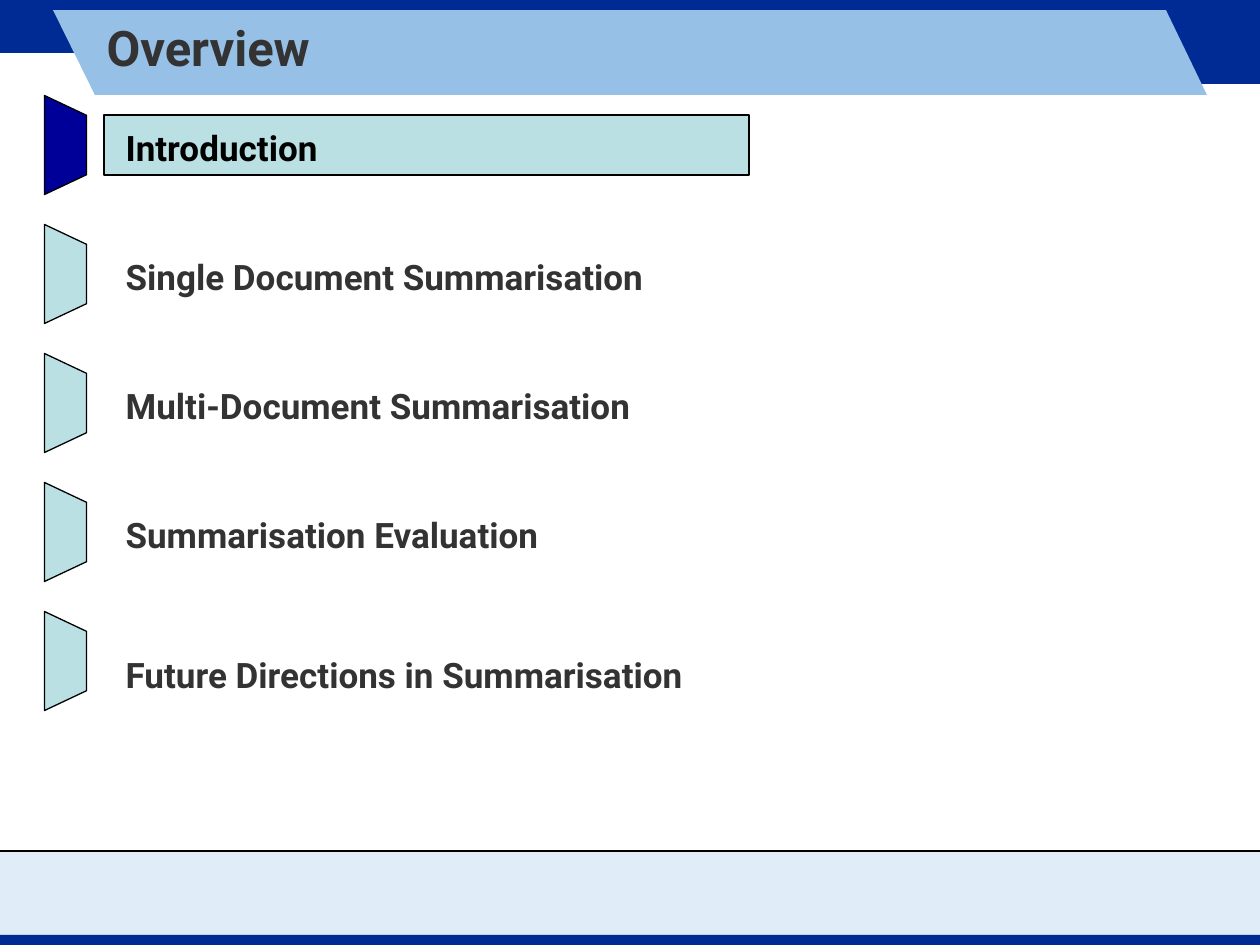
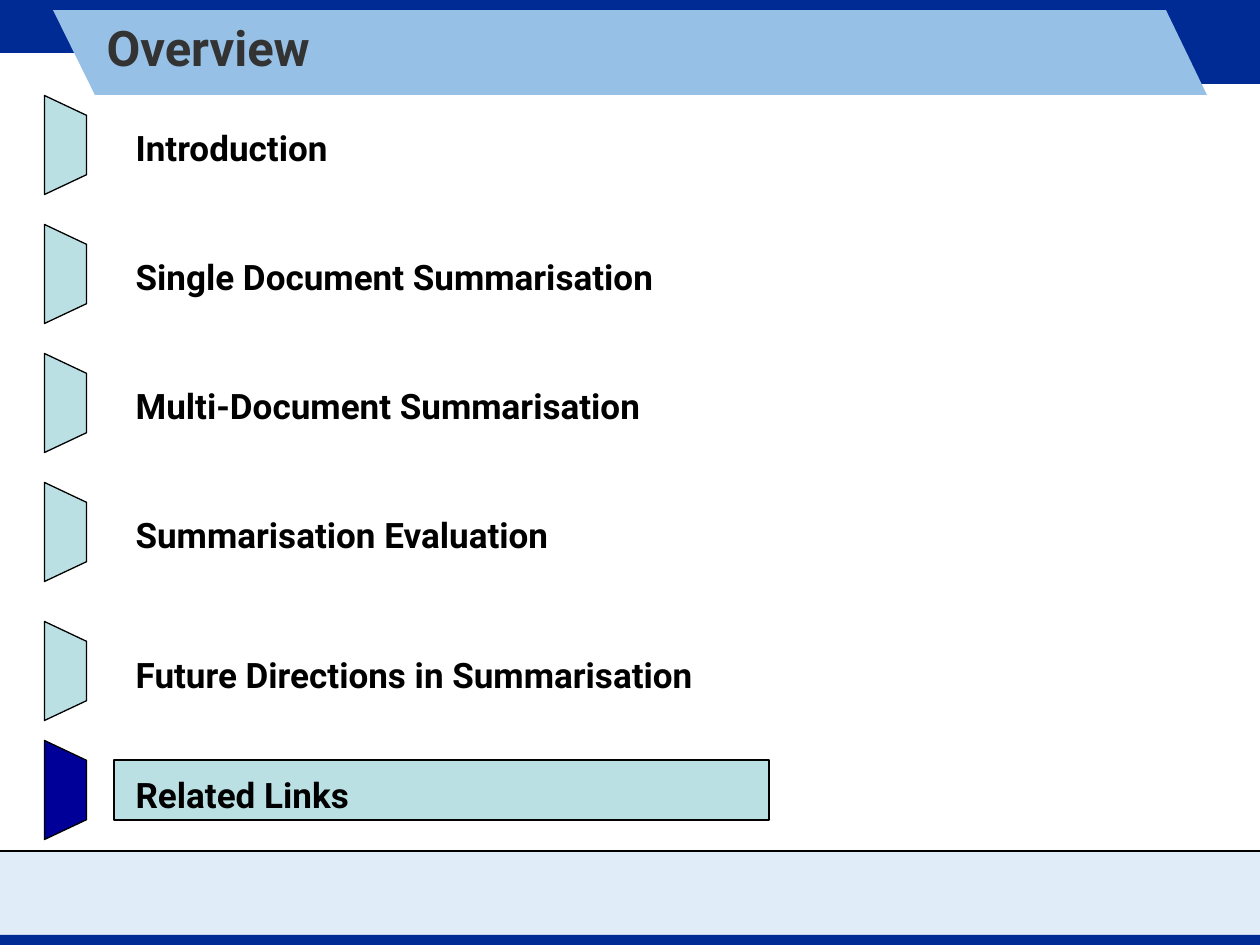
import pptx
import pptx.dml.color
import pptx.enum.shapes
import pptx.enum.text
import pptx.oxml.ns
import pptx.util
import lxml.etree

SHAPES = pptx.enum.shapes.MSO_SHAPE
EMU_PER_PX = 914400 / 126
COLOURS = {
    "navy": "002B94",
    "sky": "97C0E6",
    "ice": "E0ECF7",
    "teal": "BBE0E3",
    "current": "000099",
    "black": "000000",
    "grey": "333333",
}
FONT = {"name": "Roboto", "bold": True}
TITLE_FONT = {**FONT, "size": pptx.util.Pt(28)}
TOPIC_FONT = {**FONT, "size": pptx.util.Pt(20)}
TITLE_FRAME = {
    "word_wrap": True,
    "auto_size": pptx.enum.text.MSO_AUTO_SIZE.NONE,
    "vertical_anchor": pptx.enum.text.MSO_ANCHOR.MIDDLE,
}
TOPIC_PARAGRAPH = {"line_spacing": 1.4, "space_before": pptx.util.Pt(5)}
PLAIN_TABLE = {"first_row": False, "horz_banding": False}
NO_GRID_STYLE = "{2D5ABB26-0587-4C30-8999-92F81FD0307C}"

TOPICS = [
    "Introduction",
    "Single Document Summarisation",
    "Multi-Document Summarisation",
    "Summarisation Evaluation",
    "Future Directions in Summarisation",
    "Related Links",
]
ROW_HEIGHTS = [129, 129, 129, 140, 120, 109]
TABLE_TOP, TABLE_WIDTH = 106, 714
MARKER_TOPS = [124 + 129 * index for index in range(5)]


def emu(*lengths):
    return [round(length * EMU_PER_PX) for length in lengths]


def colour(name):
    return pptx.dml.color.RGBColor.from_string(COLOURS[name])


def apply(target, values):
    for attribute, value in values.items():
        setattr(target, attribute, value)


class Deck:
    def __init__(self):
        self.presentation = pptx.Presentation()
        width, height = emu(1260, 945)
        apply(self.presentation, {"slide_width": width, "slide_height": height})
        self.slide = None

    def paint(self, shape, fill, outline=None):
        shape.shadow.inherit = False
        shape.fill.solid()
        shape.fill.fore_color.rgb = colour(fill)
        if outline:
            shape.line.color.rgb = colour(outline)
            shape.line.width = pptx.util.Pt(0.75)
        else:
            shape.line.fill.background()

    def box(self, bounds, fill, outline=None, kind=SHAPES.RECTANGLE):
        shape = self.slide.shapes.add_shape(kind, *emu(*bounds))
        self.paint(shape, fill, outline)
        return shape

    def outline(self, points, fill):
        builder = self.slide.shapes.build_freeform(*points[0], scale=EMU_PER_PX)
        builder.add_line_segments(points[1:], close=True)
        self.paint(builder.convert_to_shape(), fill)

    def rule(self, start, end):
        connector = self.slide.shapes.add_connector(
            pptx.enum.shapes.MSO_CONNECTOR.STRAIGHT, *emu(*start, *end))
        connector.line.color.rgb = colour("black")
        connector.line.width = pptx.util.Pt(1.5)
        properties = connector.element.find(pptx.oxml.ns.qn("p:spPr"))
        lxml.etree.SubElement(properties, pptx.oxml.ns.qn("a:effectLst"))

    def text(self, paragraph, words, font, text_colour):
        run = paragraph.add_run()
        run.text = words
        apply(run.font, font)
        run.font.color.rgb = colour(text_colour)

    def title(self, words):
        shape = self.slide.shapes.title
        shape.element.getparent().append(shape.element)
        left, top, width, height = emu(94, 10, 1071, 73)
        apply(shape, {"left": left, "top": top, "width": width, "height": height})
        apply(shape.text_frame, TITLE_FRAME)
        paragraph = shape.text_frame.paragraphs[0]
        paragraph.alignment = pptx.enum.text.PP_ALIGN.LEFT
        self.text(paragraph, words, TITLE_FONT, "grey")

    def bands(self):
        self.outline([(1313, 851), (1263, 935), (-53, 935), (-3, 851)], "ice")
        self.box((0, 0, 1260, 53), "navy")
        self.box((903, 32, 357, 52), "navy")
        self.outline([(53, 10), (95, 95), (1207, 95), (1166, 10)], "sky")
        self.rule((0, 851), (1260, 851))
        self.box((0, 935, 1260, 10), "navy")

    def topic_table(self, left, topics, current, other_colour):
        frame = self.slide.shapes.add_table(
            len(ROW_HEIGHTS), 1, *emu(left, TABLE_TOP, TABLE_WIDTH, sum(ROW_HEIGHTS)))
        for style in frame.element.iter(pptx.oxml.ns.qn("a:tableStyleId")):
            style.text = NO_GRID_STYLE
        table = frame.table
        apply(table, PLAIN_TABLE)
        for index, height in enumerate(ROW_HEIGHTS):
            table.rows[index].height = emu(height)[0]
            cell = table.cell(index, 0)
            cell.fill.background()
            if index < len(topics):
                paragraph = cell.text_frame.paragraphs[0]
                apply(paragraph, TOPIC_PARAGRAPH)
                text_colour = "black" if index == current else other_colour
                self.text(paragraph, topics[index], TOPIC_FONT, text_colour)

    def markers(self, tops, current):
        for index, top in enumerate(tops):
            fill = "current" if index == current else "teal"
            marker = self.box((16, top, 99, 42), fill, "black",
                              SHAPES.FLOWCHART_MANUAL_OPERATION)
            marker.rotation = 270

    def overview(self, topics, current, highlight, table_left, marker_tops, other_colour):
        layout = self.presentation.slide_layouts[5]
        self.slide = self.presentation.slides.add_slide(layout)
        self.bands()
        self.box(highlight, "teal", "black")
        self.title("Overview")
        self.topic_table(table_left, topics, current, other_colour)
        self.markers(marker_tops, current)


def main():
    deck = Deck()
    deck.overview(TOPICS[:5], 0, (104, 115, 645, 60), 113, MARKER_TOPS, "grey")
    deck.overview(TOPICS, 5, (114, 760, 655, 60), 123,
                  [*MARKER_TOPS[:4], 650, 769], "black")
    deck.presentation.save("out.pptx")


if __name__ == "__main__":
    main()
